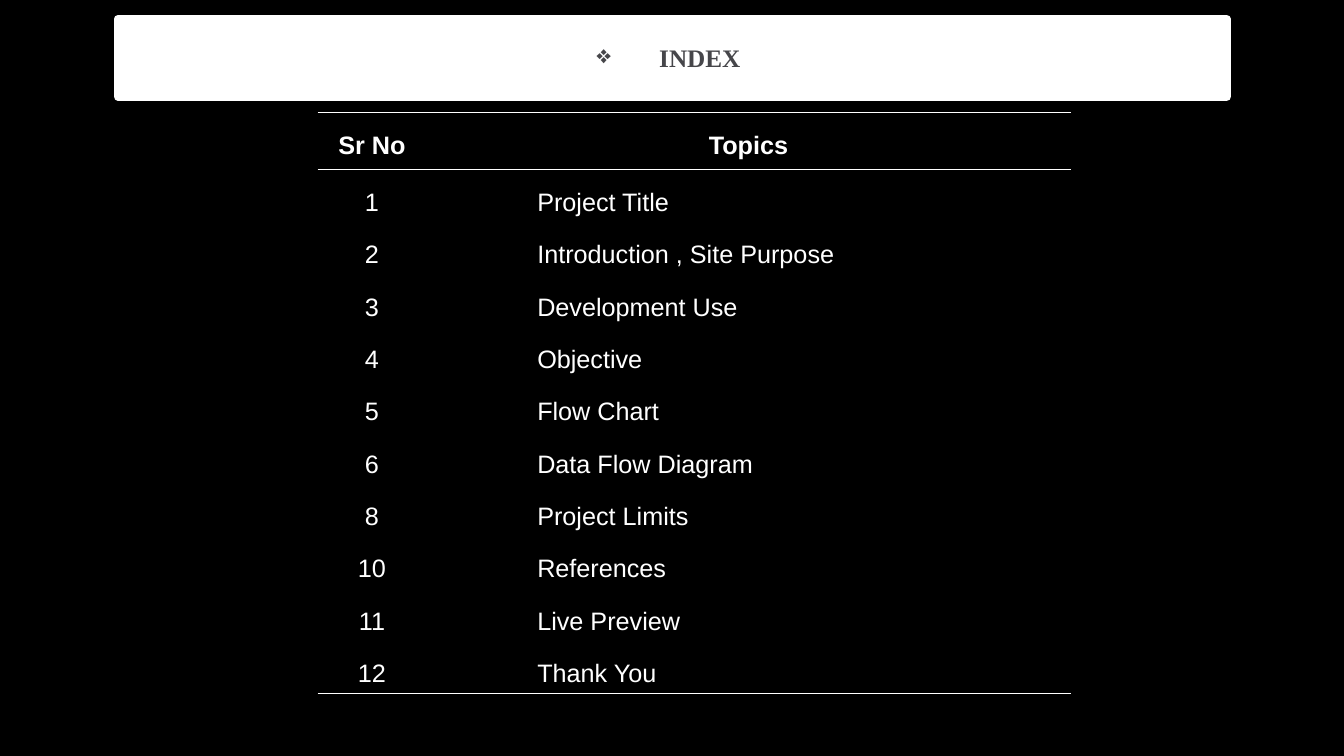
from dataclasses import dataclass

from pptx import Presentation
from pptx.dml.color import RGBColor as Color
from pptx.enum.text import MSO_ANCHOR as Anchor, PP_ALIGN as Align
from pptx.oxml import parse_xml
from pptx.oxml.ns import nsdecls, qn
from pptx.util import Inches, Pt


@dataclass(frozen=True)
class Theme:
    paper: str = "000000"
    ink: str = "FFFFFF"
    heading: str = "46464A"
    body_font: str = "Arial"
    title_font: str = "Times New Roman"
    text_size: int = 18
    frame_width: int = 6
    rule_width: int = 1
    no_table_style: str = "{2D5ABB26-0587-4C30-8999-92F81FD0307C}"


def set_values(target, values):
    for name, value in values.items():
        setattr(target, name, value)


class IndexPage:
    """Lays elements on a grid of 160 columns by 90 rows."""

    def __init__(self, deck, theme):
        self.theme = theme
        self.unit = deck.slide_width / 160
        self.page = deck.slides.add_slide(deck.slide_layouts[5])
        self.paint(self.page.background.fill, theme.paper)

    def grid(self, *cells):
        return [round(cell * self.unit) for cell in cells]

    def paint(self, fill, color):
        fill.solid()
        fill.fore_color.rgb = Color.from_string(color)

    def set_text(self, para, text, font, color, align, bold=False, spacing=1.0):
        para.text = text
        set_values(para, {"alignment": align, "line_spacing": spacing})
        span = para.runs[0]
        set_values(span.font, {"name": font, "bold": bold,
                               "size": Pt(self.theme.text_size)})
        span.font.color.rgb = Color.from_string(color)

    def title(self, text, area, bullet):
        theme = self.theme
        box = self.page.shapes.title
        set_values(box, dict(zip(("left", "top", "width", "height"),
                                 self.grid(*area))))
        self.paint(box.fill, theme.ink)
        self.paint(box.line.fill, theme.ink)
        box.line.width = Pt(theme.frame_width)
        box.text_frame.vertical_anchor = Anchor.MIDDLE
        para = box.text_frame.paragraphs[0]
        self.set_text(para, text, theme.title_font, theme.heading,
                      Align.CENTER, bold=True)
        para.space_before = Pt(4)
        # Hanging bullet
        hang = Inches(0.62)
        props = para._p.get_or_add_pPr()
        props.set("marL", str(hang))
        props.set("indent", str(-hang))
        props.append(parse_xml(f'<a:buChar {nsdecls("a")} char="{bullet}"/>'))

    def rule(self, side):
        width = Pt(self.theme.rule_width)
        return parse_xml(
            f'<a:{side} {nsdecls("a")} w="{width}"><a:solidFill>'
            f'<a:srgbClr val="{self.theme.ink}"/></a:solidFill></a:{side}>')

    def table(self, rows, corner, widths, head_height, row_height, indent):
        theme = self.theme
        heights = [head_height] + [row_height] * (len(rows) - 1)
        area = self.grid(*corner, sum(widths), sum(heights))
        table = self.page.shapes.add_table(len(rows), len(widths), *area).table
        set_values(table, {"first_row": False, "horz_banding": False})
        table._tbl.tblPr.find(qn("a:tableStyleId")).text = theme.no_table_style
        for column, width in zip(table.columns, self.grid(*widths)):
            column.width = width
        for line, height in zip(table.rows, self.grid(*heights)):
            line.height = height

        for r, row in enumerate(rows):
            for c, text in enumerate(row):
                cell = table.cell(r, c)
                is_head, is_topic = r == 0, r > 0 and c == 1
                set_values(cell, {
                    "margin_top": Inches(0.05), "margin_bottom": Inches(0.03),
                    "margin_left": Inches(0.1 + indent * is_topic)})
                cell.fill.background()
                self.set_text(cell.text_frame.paragraphs[0], text,
                              theme.body_font, theme.ink,
                              Align.LEFT if is_topic else Align.CENTER,
                              bold=is_head, spacing=1.5)
                # Rules around the heading and below the last row
                sides = {0: ("lnT", "lnB"), len(rows) - 1: ("lnB",)}.get(r, ())
                for place, side in enumerate(sides):
                    cell._tc.get_or_add_tcPr().insert(place, self.rule(side))


# Contents of the index
TOPICS = [
    ("Sr No", "Topics"),
    ("1", "Project Title"),
    ("2", "Introduction , Site Purpose"),
    ("3", "Development Use"),
    ("4", "Objective"),
    ("5", "Flow Chart"),
    ("6", "Data Flow Diagram"),
    ("8", "Project Limits"),
    ("10", "References"),
    ("11", "Live Preview"),
    ("12", "Thank You"),
]

deck = Presentation()
set_values(deck, {"slide_width": Inches(13.33), "slide_height": Inches(7.5)})
index = IndexPage(deck, Theme())

# Table of topics
index.table(TOPICS, corner=(37.8, 13.44), widths=(12.96, 76.7),
            head_height=6.72, row_height=6.24, indent=1)

# Title band
index.title("INDEX\t", area=(14.04, 2.28, 132, 9.24), bullet="❖")

deck.save("out.pptx")
